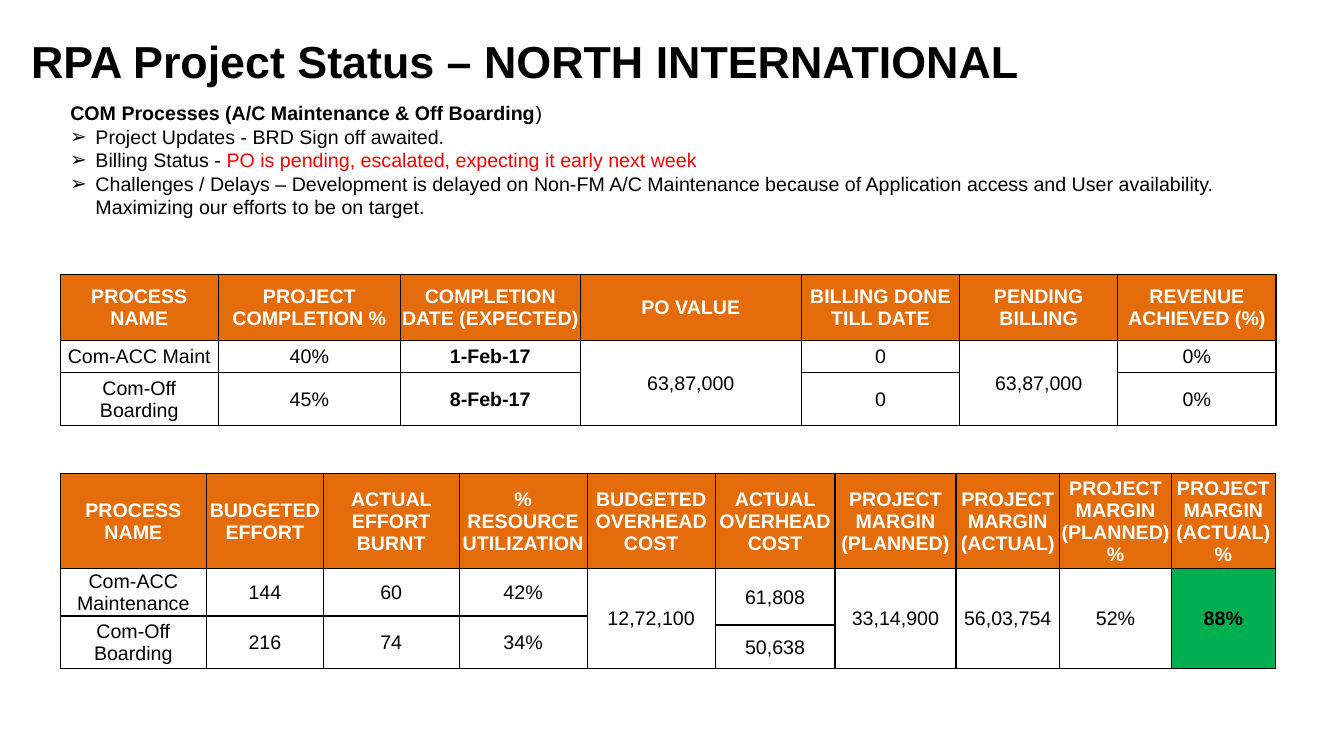
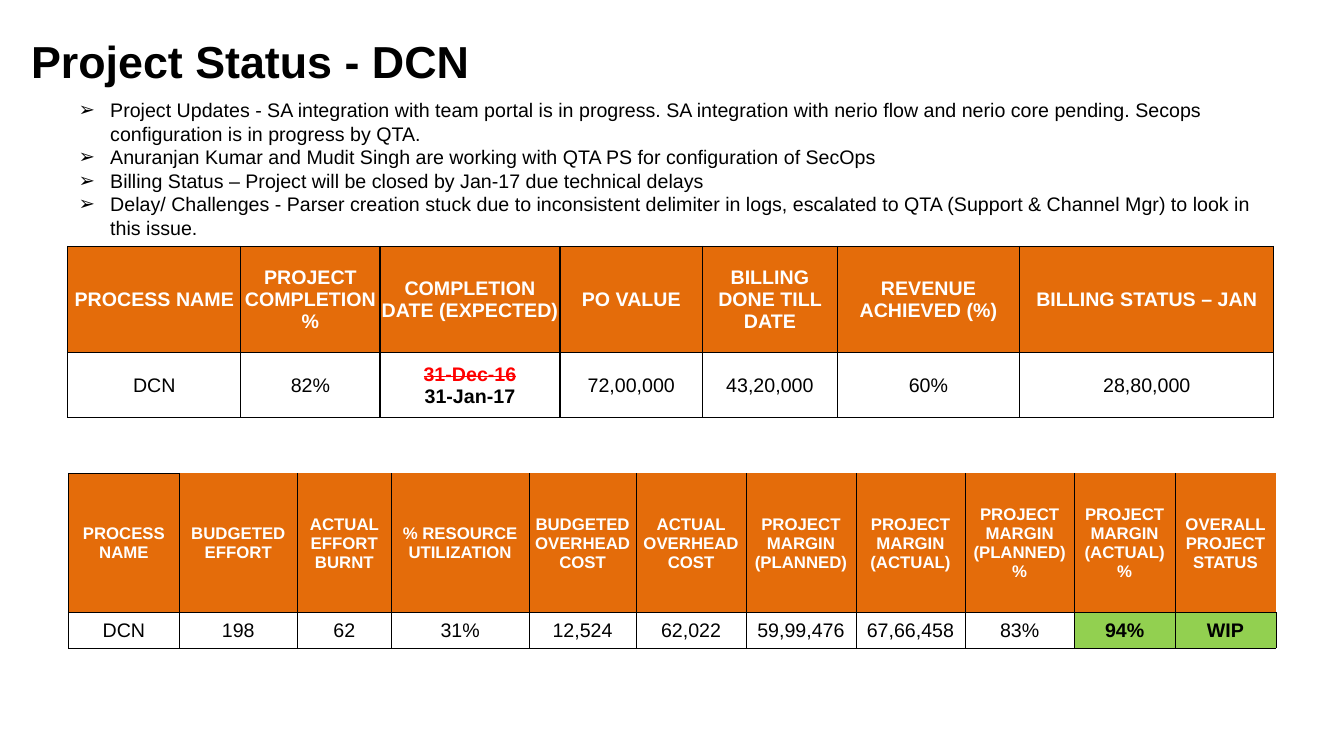
import dataclasses

import lxml.etree
import pptx
import pptx.dml.color
import pptx.enum.text
import pptx.oxml.ns
import pptx.util

Pt = pptx.util.Pt
qn = pptx.oxml.ns.qn
ALIGN = pptx.enum.text.PP_ALIGN
ANCHOR = pptx.enum.text.MSO_ANCHOR


@dataclasses.dataclass(frozen=True)
class Theme:
    font: str = "Arial"
    black: str = "000000"
    white: str = "FFFFFF"
    red: str = "FF0000"
    orange: str = "E46C0A"
    green: str = "00B050"
    lime: str = "92D050"
    title_size: float = 32
    text_size: float = 14
    small_size: float = 12


THEME = Theme()


@dataclasses.dataclass
class Span:
    """A piece of text with its own format."""
    text: str
    format: dict


@dataclasses.dataclass
class Cell:
    """A table cell with its own lines, each a string or a Span, and fill."""
    lines: list
    fill: str = THEME.white


def rgb(color):
    return pptx.dml.color.RGBColor.from_string(color)


def write(para, text, size=THEME.text_size, color=THEME.black, bold=False, strike=False):
    """Add a formatted run to a paragraph."""
    span = para.add_run()
    span.text = text
    span.font.name = THEME.font
    span.font.size = Pt(size)
    span.font.bold = bold
    span.font.color.rgb = rgb(color)
    if strike:
        span.font._element.set("strike", "sngStrike")


def write_part(para, part, **format):
    """Write a string or a Span, whose format goes before the given one."""
    if isinstance(part, Span):
        write(para, part.text, **{**format, **part.format})
    else:
        write(para, part, **format)


def set_bullet(para, indent):
    """Give a paragraph an arrow bullet, or none when the indent is zero."""
    props = para._p.get_or_add_pPr()
    props.set("marL", str(Pt(indent)))
    props.set("indent", str(-Pt(indent)))
    if indent:
        lxml.etree.SubElement(props, qn("a:buChar")).set("char", "➢")
    else:
        lxml.etree.SubElement(props, qn("a:buNone"))


def set_borders(cell, widths):
    """Draw the left, right, top and bottom borders; None leaves a side open."""
    props = cell._tc.get_or_add_tcPr()
    for side, width in zip("LRTB", widths):
        line = lxml.etree.SubElement(props, qn(f"a:ln{side}"))
        if width is None:
            lxml.etree.SubElement(line, qn("a:noFill"))
            continue
        line.set("w", str(Pt(width)))
        fill = lxml.etree.SubElement(line, qn("a:solidFill"))
        lxml.etree.SubElement(fill, qn("a:srgbClr")).set("val", THEME.black)


class StatusDeck:
    """Holds the deck and the slide being filled."""

    def __init__(self):
        self.deck = pptx.Presentation()
        self.deck.slide_width, self.deck.slide_height = Pt(960), Pt(540)
        self.page = None

    def place(self, box, left, top, width, height):
        box.left, box.top, box.width, box.height = map(Pt, (left, top, width, height))
        frame = box.text_frame
        frame.word_wrap = True
        frame.auto_size = pptx.enum.text.MSO_AUTO_SIZE.NONE
        return frame

    def add_page(self, title):
        self.page = self.deck.slides.add_slide(self.deck.slide_layouts[1])
        frame = self.place(self.page.shapes.title, 15, 20.5, 822, 46)
        frame.vertical_anchor = ANCHOR.MIDDLE
        para = frame.paragraphs[0]
        para.alignment = ALIGN.LEFT
        write(para, title, size=THEME.title_size, bold=True)

    def add_list(self, area, indent, items, heading=None):
        """Fill the body; every item is a list of strings and Spans."""
        frame = self.place(self.page.placeholders[1], *area)
        frame.vertical_anchor = ANCHOR.TOP
        rows = [(item, indent) for item in items]
        if heading:
            rows.insert(0, (heading, 0))
        for number, (parts, depth) in enumerate(rows):
            para = frame.add_paragraph() if number else frame.paragraphs[0]
            para.alignment = ALIGN.LEFT
            para.line_spacing = 1.0
            para.space_before = Pt(0)
            set_bullet(para, depth)
            for part in parts:
                write_part(para, part)

    def add_table(self, left, top, widths, heights, rows, frame=1, inner=1,
                  header_size=THEME.text_size, open_header=False):
        """Draw a table; None in rows joins the cell to the one above."""
        box = self.page.shapes.add_table(len(rows), len(widths), Pt(left), Pt(top),
                                         Pt(sum(widths)), Pt(sum(heights)))
        table = box.table
        table.first_row = table.horz_banding = False
        for column, width in zip(table.columns, widths):
            column.width = Pt(width)
        for line, height in zip(table.rows, heights):
            line.height = Pt(height)
        last_row, last_col = len(rows) - 1, len(widths) - 1

        for r, row in enumerate(rows):
            for c, content in enumerate(row):
                cell = table.cell(r, c)
                end = r
                while content is not None and end < last_row and rows[end + 1][c] is None:
                    end += 1
                if end > r:
                    cell.merge(table.cell(end, c))

                # Borders
                edges = [frame if c == 0 else inner, frame if c == last_col else inner,
                         frame if r == 0 else inner, frame if end == last_row else inner]
                if content is None:
                    edges[2] = None
                if open_header and r == 0:
                    edges[2] = frame if c == 0 else None
                    edges[1] = None if c == last_col else inner
                set_borders(cell, edges)

                # Box
                cell.margin_left = cell.margin_right = cell.margin_top = Pt(0.7)
                cell.margin_bottom = Pt(0)
                cell.vertical_anchor = ANCHOR.MIDDLE
                if not isinstance(content, Cell):
                    content = Cell([content] if content else [])
                cell.fill.solid()
                cell.fill.fore_color.rgb = rgb(content.fill if r else THEME.orange)

                # Text
                style = {} if r else dict(size=header_size, color=THEME.white, bold=True)
                for number, part in enumerate(content.lines):
                    paras = cell.text_frame
                    para = paras.add_paragraph() if number else paras.paragraphs[0]
                    para.alignment = ALIGN.CENTER
                    write_part(para, part, **style)

    def save(self):
        self.deck.save("out.pptx")


def bold(text, fill=THEME.white):
    return Cell([Span(text, dict(bold=True))], fill)


EFFORT_HEADER = [
    "PROCESS NAME", "BUDGETED EFFORT", "ACTUAL EFFORT BURNT", "% RESOURCE UTILIZATION",
    "BUDGETED OVERHEAD COST", "ACTUAL OVERHEAD COST", "PROJECT MARGIN (PLANNED)",
    "PROJECT MARGIN (ACTUAL)", "PROJECT MARGIN (PLANNED) %", "PROJECT MARGIN (ACTUAL) %",
]
BILLING_HEADER = [
    "PROCESS NAME", "PROJECT COMPLETION %", "COMPLETION DATE (EXPECTED)",
    "PO VALUE", "BILLING DONE TILL DATE",
]
EFFORT_TOP = 338


def add_rpa_page(deck):
    deck.add_page("RPA Project Status – NORTH INTERNATIONAL")
    deck.add_list(
        (43, 68.5, 868, 92), 18,
        [["Project Updates - BRD Sign off awaited."],
         ["Billing Status - ",
          Span("PO is pending, escalated, expecting it early next week", dict(color=THEME.red))],
         ["Challenges / Delays – Development is delayed on Non-FM A/C Maintenance because of "
          "Application access and User availability. Maximizing our efforts to be on target."]],
        heading=[Span("COM Processes (A/C Maintenance & Off Boarding", dict(bold=True)), ")"])

    # Billing
    deck.add_table(
        43, 196, [113, 130, 128.5, 158, 113, 113, 113], [47, 23, 38],
        [BILLING_HEADER + ["PENDING BILLING", "REVENUE ACHIEVED (%)"],
         ["Com-ACC Maint", "40%", bold("1-Feb-17"), "63,87,000", "0", "63,87,000", "0%"],
         ["Com-Off Boarding", "45%", bold("8-Feb-17"), None, "0", None, "0%"]],
        inner=0.5)

    # Effort and margin
    deck.add_table(
        43, EFFORT_TOP, [104.5, 83.5, 97, 91.5, 91.5, 85.5, 86.5, 74, 80, 74],
        [68, 34, 6.5, 31],
        [EFFORT_HEADER,
         ["Com-ACC Maintenance", "144", "60", "42%", "12,72,100", "61,808", "33,14,900",
          "56,03,754", "52%", bold("88%", THEME.green)],
         ["Com-Off Boarding", "216", "74", "34%"] + [None] * 6,
         [None] * 5 + ["50,638"] + [None] * 4])


def add_dcn_page(deck):
    deck.add_page("Project Status - DCN")
    deck.add_list(
        (49, 66.5, 862, 109), 22.5,
        [["Project Updates - SA integration with team portal is in progress. SA integration with "
          "nerio flow and nerio core pending. Secops configuration is in progress by QTA."],
         ["Anuranjan Kumar and Mudit Singh are working with QTA PS for configuration of SecOps"],
         ["Billing Status – Project will be closed by Jan-17 due technical delays"],
         ["Delay/ Challenges - Parser creation stuck due to inconsistent delimiter in logs, "
          "escalated to QTA (Support & Channel Mgr) to look in this issue."]])

    # Billing
    dates = Cell([Span("31-Dec-16", dict(color=THEME.red, bold=True, strike=True)),
                  Span("31-Jan-17", dict(bold=True))])
    deck.add_table(
        48.5, 176, [123.5, 99.5, 128.5, 102, 96, 130.5, 181.5], [76, 46],
        [BILLING_HEADER + ["REVENUE ACHIEVED (%)", "BILLING STATUS – JAN"],
         ["DCN", "82%", dates, "72,00,000", "43,20,000", "60%", "28,80,000"]])

    # Effort and margin
    deck.add_table(
        49, EFFORT_TOP, [79, 84.5, 67, 98.5, 76.5, 78.5, 78.5, 78, 78, 72, 72], [99.5, 25.5],
        [EFFORT_HEADER + ["OVERALL PROJECT STATUS"],
         ["DCN", "198", "62", "31%", "12,524", "62,022", "59,99,476", "67,66,458", "83%",
          bold("94%", THEME.lime), bold("WIP", THEME.lime)]],
        frame=0.5, inner=0.5, header_size=THEME.small_size, open_header=True)


def main():
    deck = StatusDeck()
    add_rpa_page(deck)
    add_dcn_page(deck)
    deck.save()


if __name__ == "__main__":
    main()
